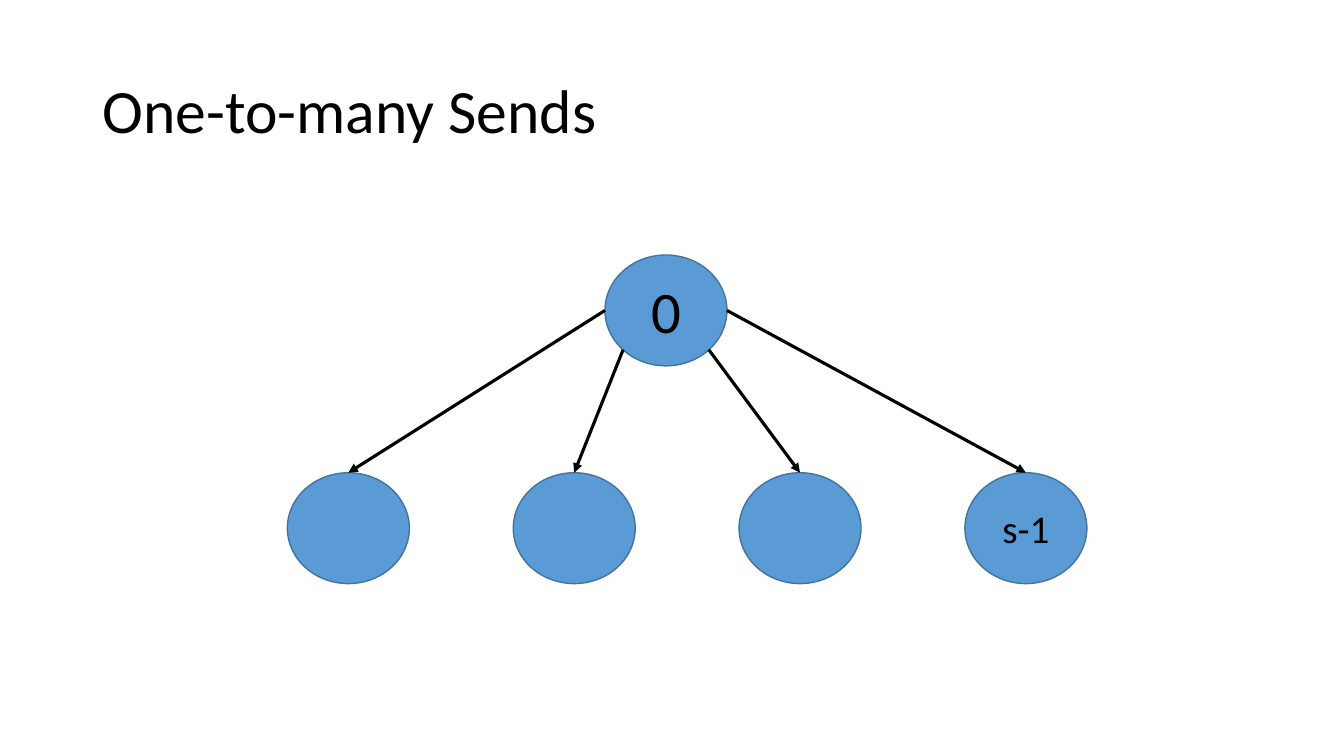
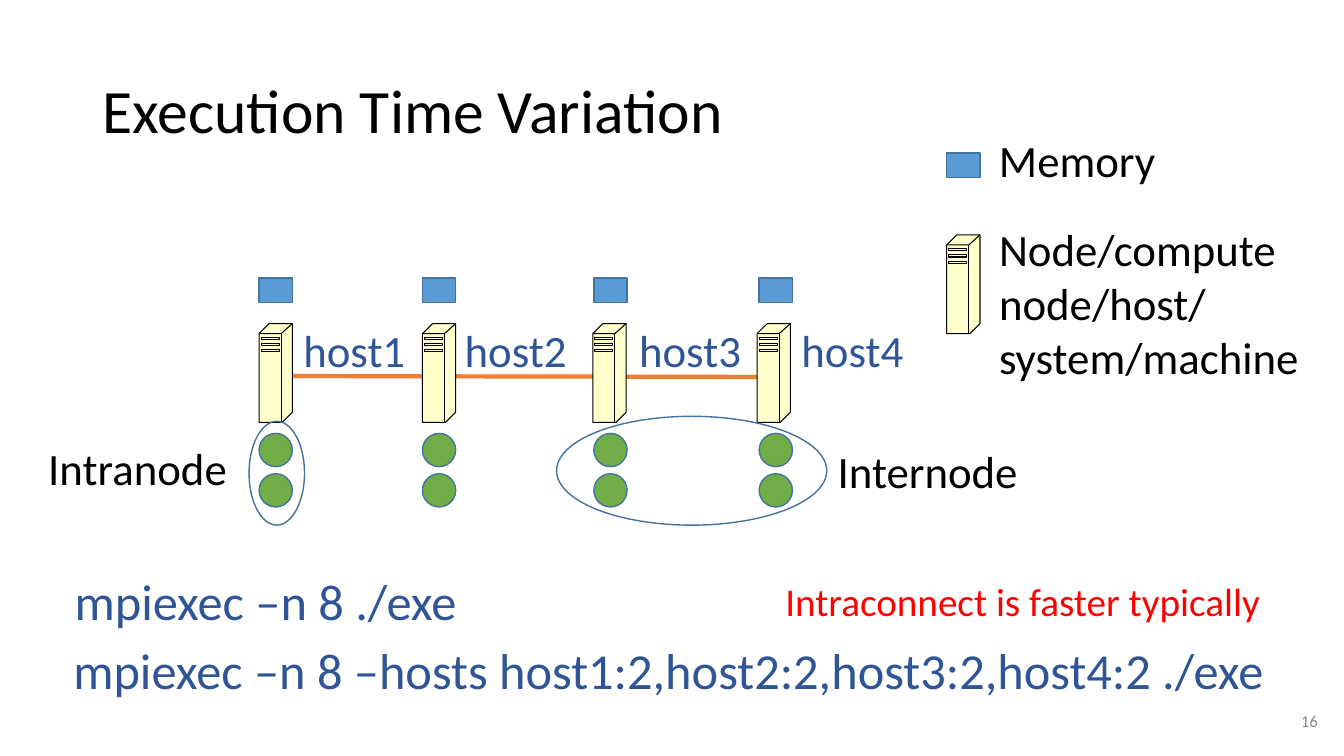
from lxml import etree
from pptx import Presentation
from pptx import util as u
from pptx.dml.color import RGBColor
from pptx.enum import shapes, text
from pptx.oxml.ns import qn

HEX = {"ink": "000000", "blue": "5B9BD5", "edge": "43739E", "navy": "2F5597",
       "green": "70AD47", "orange": "ED7D31", "cream": "FFFFCC",
       "red": "FF0000", "gray": "8C8C8C"}
HUE = {name: RGBColor.from_string(code) for name, code in HEX.items()}
OVAL, RECT = shapes.MSO_SHAPE.OVAL, shapes.MSO_SHAPE.RECTANGLE
LEFT, MID, RIGHT = text.PP_ALIGN.LEFT, text.PP_ALIGN.CENTER, text.PP_ALIGN.RIGHT
TOP, CORE = text.MSO_ANCHOR.TOP, text.MSO_ANCHOR.MIDDLE


def draw(slide, kind, box, fill=None, words="", size=32, hue="ink",
         align=MID, anchor=CORE, wrap=True):
    """Add a preset shape, or a text box when kind is None."""
    area = [u.Inches(n) for n in box]
    if kind is None:
        shape = slide.shapes.add_textbox(*area)
    else:
        shape = slide.shapes.add_shape(kind, *area)
        shape.shadow.inherit = False
        shape.line.color.rgb = HUE["edge"]
        shape.line.width = u.Pt(1)
        if fill:
            shape.fill.solid()
            shape.fill.fore_color.rgb = HUE[fill]
        else:
            shape.fill.background()
    if words:
        frame = shape.text_frame
        frame.word_wrap, frame.vertical_anchor = wrap, anchor
        para = frame.paragraphs[0]
        para.text, para.alignment = words, align
        look = {"name": "Calibri", "size": u.Pt(size)}
        for key, value in look.items():
            setattr(para.font, key, value)
        para.font.color.rgb = HUE[hue]


def link(slide, start, end, hue, width, arrow=False):
    """Add a straight line, with an arrowhead at its end if asked."""
    ends = [u.Inches(n) for n in (*start, *end)]
    line = slide.shapes.add_connector(shapes.MSO_CONNECTOR.STRAIGHT, *ends)
    line.line.color.rgb = HUE[hue]
    line.line.width = u.Pt(width)
    if arrow:
        etree.SubElement(line.line._get_or_add_ln(), qn("a:tailEnd"), type="triangle")
    etree.SubElement(line._element.spPr, qn("a:effectLst"))


deck = Presentation()
deck.slide_width, deck.slide_height = u.Inches(13.33), u.Inches(7.5)

# Slides and their shared title style
pages = []
for name in ("One-to-many Sends", "Execution Time Variation"):
    page = deck.slides.add_slide(deck.slide_layouts[5])
    pages.append(page)
    title = page.shapes.title
    spot = {"left": 0.92, "top": 0.4, "width": 11.5, "height": 1.45}
    for key, value in spot.items():
        setattr(title, key, u.Inches(value))
    title.text_frame.text = name
    title.text_frame.vertical_anchor = CORE
    para = title.text_frame.paragraphs[0]
    para.alignment, para.line_spacing = LEFT, 0.9
    for key, value in {"name": "Calibri", "size": u.Pt(44)}.items():
        setattr(para.font, key, value)
    para.font.color.rgb = HUE["ink"]
sends, times = pages

# Slide 1: root circle, row of receivers, arrows
wide, high, row = 1.21, 1.1, 4.69
draw(sends, OVAL, (6, 2.53, wide, high), "blue", "0", 42)
roots = [(6, 3.08), (6.18, 3.47), (7.03, 3.47), (7.21, 3.08)]
for i, (root, words) in enumerate(zip(roots, ("", "", "", "s-1"))):
    x = 2.85 + 2.24 * i
    draw(sends, OVAL, (x, row, wide, high), "blue", words, 28)
    link(sends, root, (x + wide / 2, row), "ink", 2.25, arrow=True)

# Slide 2: network line behind the hosts
link(times, (2.57, 3.73), (7.84, 3.74), "orange", 3)

# Servers: outline, then front edges and slots, in hundredths of an inch
body = [(0, 10), (10, 0), (33, 0), (33, 88), (23, 98), (0, 98), (0, 10)]
front = [[(0, 10), (22, 10), (33, 0)], [(22, 10), (22, 98)]]
slots = [[(2, y), (20, y), (20, y + 2), (2, y + 2), (2, y)] for y in (14, 20, 26)]
for x, y in [(2.57, 3.21), (4.19, 3.21), (5.88, 3.21), (7.51, 3.21), (9.39, 2.33)]:
    for parts in ([body], front + slots):
        pen = times.shapes.build_freeform(*parts[0][0], scale=u.Inches(0.01))
        for i, part in enumerate(parts):
            if i:
                pen.move_to(*part[0])
            pen.add_line_segments(part[1:], close=False)
        form = pen.convert_to_shape(u.Inches(x), u.Inches(y))
        form.shadow.inherit = False
        form.line.color.rgb = HUE["ink"]
        form.line.width = u.Pt(0.75)
        if parts[0] is body:
            form.fill.solid()
            form.fill.fore_color.rgb = HUE["cream"]
        else:
            form.fill.background()

# Memory, processes and name of each host
side = 0.33
hosts = [(2.57, 2.91), (4.19, 4.51), (5.89, 6.24), (7.53, 7.85)]
for i, (x, label) in enumerate(hosts, 1):
    draw(times, RECT, (x, 2.76, side, 0.24), "blue")
    for y in (4.3, 4.7):
        draw(times, OVAL, (x, y, side, side), "green")
    draw(times, None, (label, 3.15, 1.22, 0.64), words=f"host{i}", hue="navy",
         align=LEFT, anchor=TOP, wrap=False)
draw(times, RECT, (9.39, 1.52, side, 0.24), "blue")

# Rings around the two kinds of pairs
for box in [(5.52, 4.13, 2.68, 1.08), (2.47, 4.18, 0.55, 1.03)]:
    draw(times, OVAL, box)

# Legend and ring labels
for box, words in [
    ((9.81, 1.27, 2.27, 0.64), "Memory"),
    ((9.81, 2.15, 3.22, 1.72), "Node/compute node/host/\vsystem/machine"),
    ((8.21, 4.35, 3.51, 0.64), "Internode"),
    ((0.38, 4.32, 3.51, 0.64), "Intranode"),
]:
    draw(times, None, box, words=words, align=LEFT, anchor=TOP)

# Commands, remark and page number
for box, words, size, hue, align, anchor in [
    ((0.62, 5.61, 4.03, 0.71), "mpiexec –n 8 ./exe", 36, "navy", MID, TOP),
    ((0.57, 6.29, 12.13, 0.71),
     "mpiexec –n 8 –hosts host1:2,host2:2,host3:2,host4:2 ./exe", 36, "navy", MID, TOP),
    ((7.69, 5.68, 4.96, 0.57), "Intraconnect is faster typically", 28, "red", LEFT, TOP),
    ((9.42, 6.95, 3.75, 0.4), "16", 12, "gray", RIGHT, CORE),
]:
    draw(times, None, box, words=words, size=size, hue=hue, align=align,
         anchor=anchor, wrap=words == "16")

deck.save("out.pptx")
